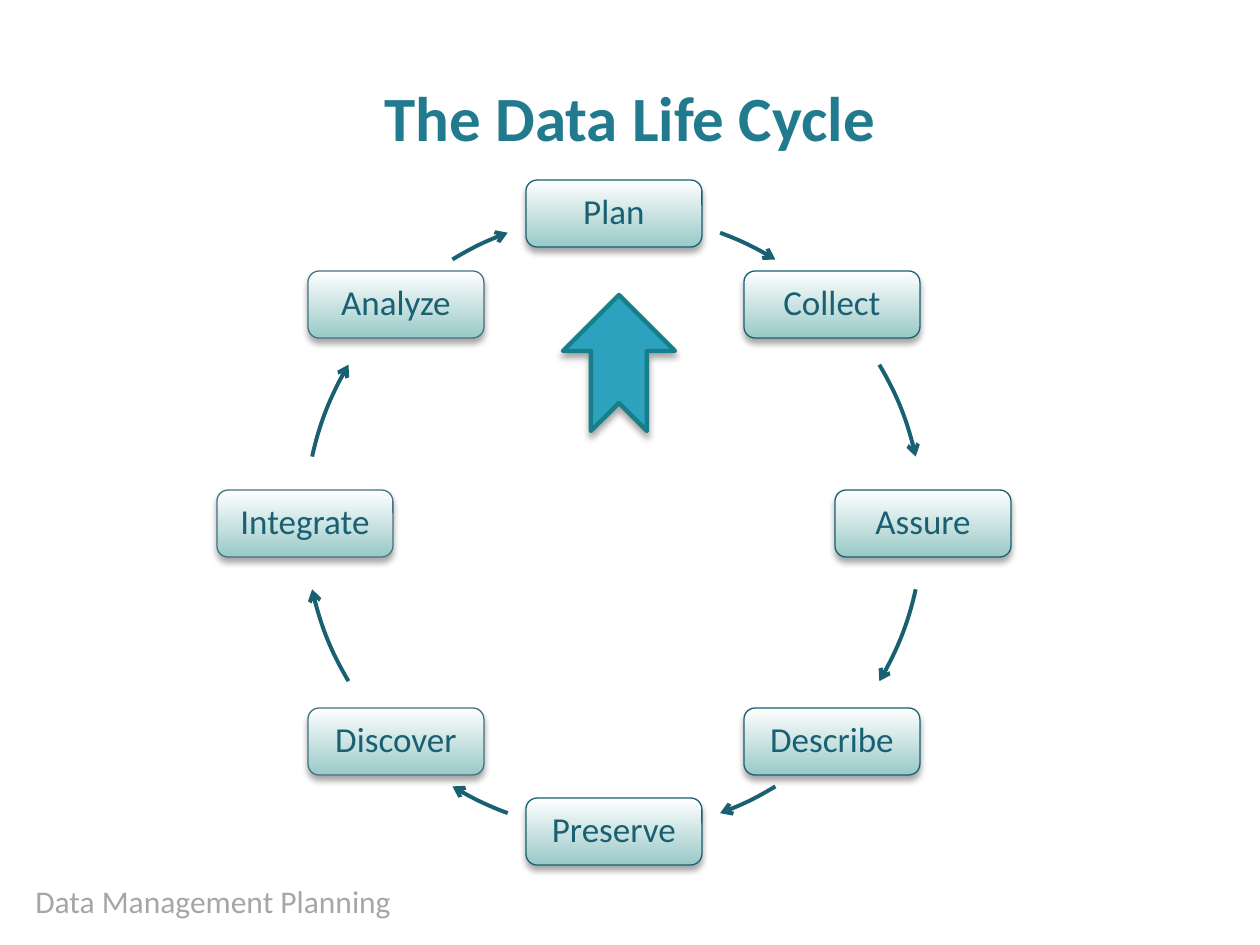
import dataclasses
import math

import lxml.etree
import pptx
import pptx.dml.color
import pptx.enum.shapes
import pptx.enum.text
import pptx.oxml.ns
import pptx.util

SHAPES = pptx.enum.shapes.MSO_SHAPE
ALIGN = pptx.enum.text.PP_ALIGN
ANCHOR = pptx.enum.text.MSO_ANCHOR

EMU_PER_PX = 914400 / 126
FONT = "Calibri"
COLORS = {
    "title": "227A8F",
    "footer": "A6A6A6",
    "ink": "186072",
    "soft_edge": "457184",
    "box_top": "FFFFFF",
    "box_bottom": "99C9C7",
    "pointer": "2DA2BF",
    "pointer_edge": "177F8A",
    "shadow": "000000",
}

CENTER_X, CENTER_Y, RADIUS = 614, 523, 309
BOX_WIDTH, BOX_HEIGHT = 176, 67


@dataclasses.dataclass(frozen=True)
class Stage:
    name: str
    edge: str = "ink"


@dataclasses.dataclass(frozen=True)
class Arc:
    """Angles in degrees, clockwise from the top of the cycle."""
    start: float
    end: float


STAGES = [
    Stage("Plan"),
    Stage("Collect"),
    Stage("Assure"),
    Stage("Describe"),
    Stage("Preserve"),
    Stage("Discover", "soft_edge"),
    Stage("Integrate", "soft_edge"),
    Stage("Analyze", "soft_edge"),
]
HALF_TURN = [Arc(20.1, 31.5), Arc(59.2, 77.6), Arc(102.4, 120.8), Arc(148.5, 159.9)]
ARCS = [Arc(arc.start + turn, arc.end + turn) for turn in (0, 180) for arc in HALF_TURN]


def px(value: int) -> pptx.util.Emu:
    return pptx.util.Emu(round(value * EMU_PER_PX))


def rgb(name: str) -> pptx.dml.color.RGBColor:
    return pptx.dml.color.RGBColor.from_string(COLORS[name])


def add_child(parent, tag: str, **attributes: str):
    return lxml.etree.SubElement(parent, pptx.oxml.ns.qn(tag), attributes)


def write(shape, text: str, *, size: int, color: str, bold: bool = False,
          align=ALIGN.LEFT, anchor=ANCHOR.TOP, spacing: float = 1.0) -> None:
    frame = shape.text_frame
    frame.word_wrap = True
    frame.vertical_anchor = anchor
    paragraph = frame.paragraphs[0]
    paragraph.alignment = align
    paragraph.line_spacing = spacing
    run = paragraph.add_run()
    run.text = text
    run.font.name = FONT
    run.font.size = pptx.util.Pt(size)
    run.font.bold = bold
    run.font.color.rgb = rgb(color)


def add_outlined(slide, kind, left: int, top: int, width: int, height: int,
                 edge: str, weight: float):
    shape = slide.shapes.add_shape(kind, px(left), px(top), px(width), px(height))
    shape.shadow.inherit = False
    shape.line.color.rgb = rgb(edge)
    shape.line.width = pptx.util.Pt(weight)
    return shape


def drop_shadow(shape) -> None:
    effects = shape._element.spPr.find(pptx.oxml.ns.qn("a:effectLst"))
    shadow = add_child(effects, "a:outerShdw", blurRad=str(pptx.util.Pt(4)),
                       dist=str(pptx.util.Pt(3)), dir="5400000", rotWithShape="0")
    color = add_child(shadow, "a:srgbClr", val=COLORS["shadow"])
    add_child(color, "a:alpha", val="35000")


def draw_stage(slide, stage: Stage, angle: float) -> None:
    left = round(CENTER_X + RADIUS * math.sin(angle) - BOX_WIDTH / 2)
    top = round(CENTER_Y - RADIUS * math.cos(angle) - BOX_HEIGHT / 2)
    box = add_outlined(slide, SHAPES.ROUNDED_RECTANGLE, left, top,
                       BOX_WIDTH, BOX_HEIGHT, stage.edge, 0.75)
    box.fill.gradient()
    box.fill.gradient_angle = 270
    for stop, position, color in zip(box.fill.gradient_stops, (0, 1),
                                     ("box_top", "box_bottom")):
        stop.position = position
        stop.color.rgb = rgb(color)
    drop_shadow(box)
    write(box, stage.name, size=20, color="ink", align=ALIGN.CENTER,
          anchor=ANCHOR.MIDDLE, spacing=0.9)


def draw_arc(slide, arc: Arc) -> None:
    shape = add_outlined(slide, SHAPES.ARC, CENTER_X - RADIUS, CENTER_Y - RADIUS,
                         2 * RADIUS, 2 * RADIUS, "ink", 2.25)
    shape.fill.background()
    # Arc angles run from three o'clock in 1/60000 degree; adjustments are in 1/100000.
    for index, angle in enumerate((arc.start, arc.end)):
        shape.adjustments[index] = (angle - 90) % 360 * 0.6
    add_child(shape.line._get_or_add_ln(), "a:tailEnd", type="arrow")


def draw_pointer(slide) -> None:
    pointer = add_outlined(slide, SHAPES.NOTCHED_RIGHT_ARROW, 551, 307, 136, 112,
                           "pointer_edge", 2.5)
    pointer.rotation = 270
    pointer.fill.solid()
    pointer.fill.fore_color.rgb = rgb("pointer")
    drop_shadow(pointer)


def main() -> None:
    presentation = pptx.Presentation()
    presentation.slide_width, presentation.slide_height = px(1260), px(945)
    slide = presentation.slides.add_slide(presentation.slide_layouts[6])

    footer = slide.shapes.add_textbox(px(23), px(876), px(527), px(50))
    write(footer, "Data Management Planning", size=18, color="footer")
    title = slide.shapes.add_textbox(px(0), px(68), px(1260), px(97))
    write(title, "The Data Life Cycle", size=36, color="title", bold=True,
          align=ALIGN.CENTER, anchor=ANCHOR.MIDDLE)

    for index, (stage, arc) in enumerate(zip(STAGES, ARCS)):
        draw_stage(slide, stage, math.tau * index / len(STAGES))
        draw_arc(slide, arc)
    draw_pointer(slide)
    presentation.save("out.pptx")


if __name__ == "__main__":
    main()
